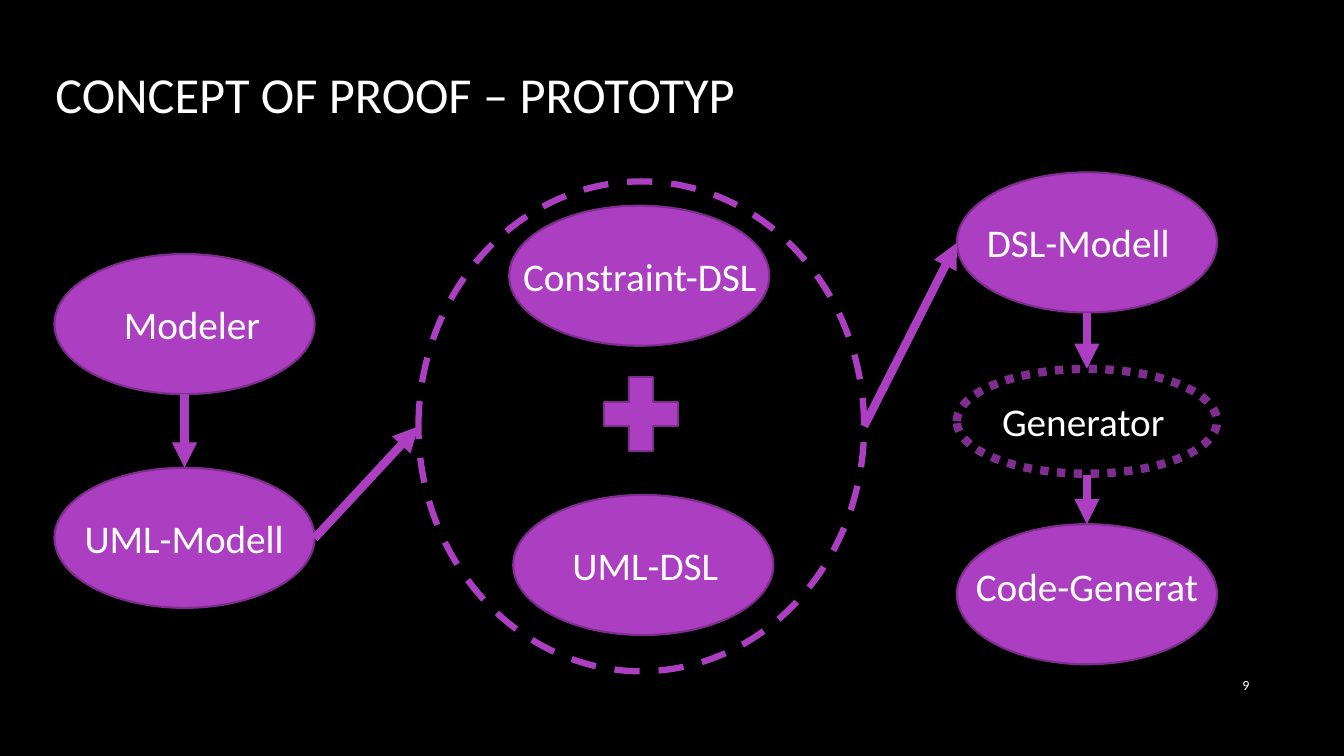
from lxml.etree import SubElement
from pptx import Presentation
from pptx.dml.color import RGBColor
from pptx.enum.dml import MSO_LINE
from pptx.enum.shapes import MSO_CONNECTOR, MSO_SHAPE
from pptx.enum.text import MSO_ANCHOR, PP_ALIGN
from pptx.oxml.ns import qn
from pptx.util import Inches, Pt

BLACK = RGBColor(0x00, 0x00, 0x00)
WHITE = RGBColor(0xFF, 0xFF, 0xFF)
PURPLE = RGBColor(0xAC, 0x3E, 0xC1)
PLUM = RGBColor(0x7F, 0x2E, 0x8F)
FONT = "Calibri"
NODE_W, NODE_H = 2.58, 1.39
LEFT_X, RIGHT_X = 0.54, 9.49
LEFT_MID, RIGHT_MID = LEFT_X + NODE_W / 2, RIGHT_X + NODE_W / 2

NODES = [
    (LEFT_X, 4.64, "UML-Modell", 0.74, 5.05),
    (LEFT_X, 2.52, "Modeler", 1.13, 2.93),
    (5.05, 2.04, "Constraint-DSL", 5.09, 2.45),
    (5.09, 4.91, "UML-DSL", 5.58, 5.32),
    (RIGHT_X, 1.71, "DSL-Modell", 9.69, 2.12),
    (RIGHT_X, 5.2, "Code-Generat", 9.58, 5.53),
]
ARROWS = [
    (LEFT_MID, 3.91, LEFT_MID, 4.64),
    (LEFT_X + NODE_W, 5.34, 4.15, 4.23),
    (8.57, 4.23, RIGHT_X, 2.41),
    (RIGHT_MID, 3.11, RIGHT_MID, 3.66),
    (RIGHT_MID, 4.71, RIGHT_MID, 5.2),
]


def add_run(frame, text, size):
    run = frame.paragraphs[0].add_run()
    run.text = text
    run.font.name = FONT
    run.font.size = Pt(size)
    run.font.color.rgb = WHITE


def add_title(slide, text):
    title = slide.shapes.title
    title.left, title.top = Inches(0.45), Inches(0.47)
    title.width, title.height = Inches(11.08), Inches(0.92)
    frame = title.text_frame
    frame.vertical_anchor = MSO_ANCHOR.MIDDLE
    frame.paragraphs[0].alignment = PP_ALIGN.LEFT
    add_run(frame, text, 36)


def add_label(slide, text, x, y, w=2.6, h=0.57, size=28):
    box = slide.shapes.add_textbox(Inches(x), Inches(y), Inches(w), Inches(h))
    frame = box.text_frame
    frame.word_wrap = True
    add_run(frame, text, size)
    return frame


def add_form(slide, kind, x, y, w, h, fill=None, line=PLUM, width=1.5, dash=None):
    form = slide.shapes.add_shape(kind, Inches(x), Inches(y), Inches(w), Inches(h))
    form.shadow.inherit = False
    if fill is None:
        form.fill.background()
    else:
        form.fill.solid()
        form.fill.fore_color.rgb = fill
    form.line.color.rgb = line
    form.line.width = Pt(width)
    if dash is not None:
        form.line.dash_style = dash


def add_arrow(slide, x1, y1, x2, y2):
    arrow = slide.shapes.add_connector(
        MSO_CONNECTOR.STRAIGHT, Inches(x1), Inches(y1), Inches(x2), Inches(y2))
    arrow.line.color.rgb = PURPLE
    arrow.line.width = Pt(6)
    props = arrow._element.spPr
    SubElement(props.find(qn("a:ln")), qn("a:tailEnd"), type="triangle")
    SubElement(props, qn("a:effectLst"))


def main():
    deck = Presentation()
    deck.slide_width, deck.slide_height = Inches(13.33), Inches(7.5)
    slide = deck.slides.add_slide(deck.slide_layouts[5])
    slide.background.fill.solid()
    slide.background.fill.fore_color.rgb = BLACK

    add_title(slide, "CONCEPT OF PROOF – PROTOTYP")
    number = add_label(slide, "9", 11.89, 6.59, 0.6, 0.41, 10)
    number.vertical_anchor = MSO_ANCHOR.MIDDLE
    number.paragraphs[0].alignment = PP_ALIGN.RIGHT

    for x, y, text, text_x, text_y in NODES:
        add_form(slide, MSO_SHAPE.OVAL, x, y, NODE_W, NODE_H, PURPLE)
        add_label(slide, text, text_x, text_y)
    add_form(slide, MSO_SHAPE.MATH_PLUS, 5.86, 3.61, 1, 1, PURPLE)
    add_form(slide, MSO_SHAPE.OVAL, 4.15, 1.8, 4.42, 4.86,
             line=PURPLE, width=4.5, dash=MSO_LINE.DASH)
    add_form(slide, MSO_SHAPE.OVAL, RIGHT_X, 3.66, NODE_W, 1.04,
             width=6, dash=MSO_LINE.ROUND_DOT)
    add_label(slide, "Generator", 9.84, 3.89)
    for ends in ARROWS:
        add_arrow(slide, *ends)

    deck.save("out.pptx")


if __name__ == "__main__":
    main()
